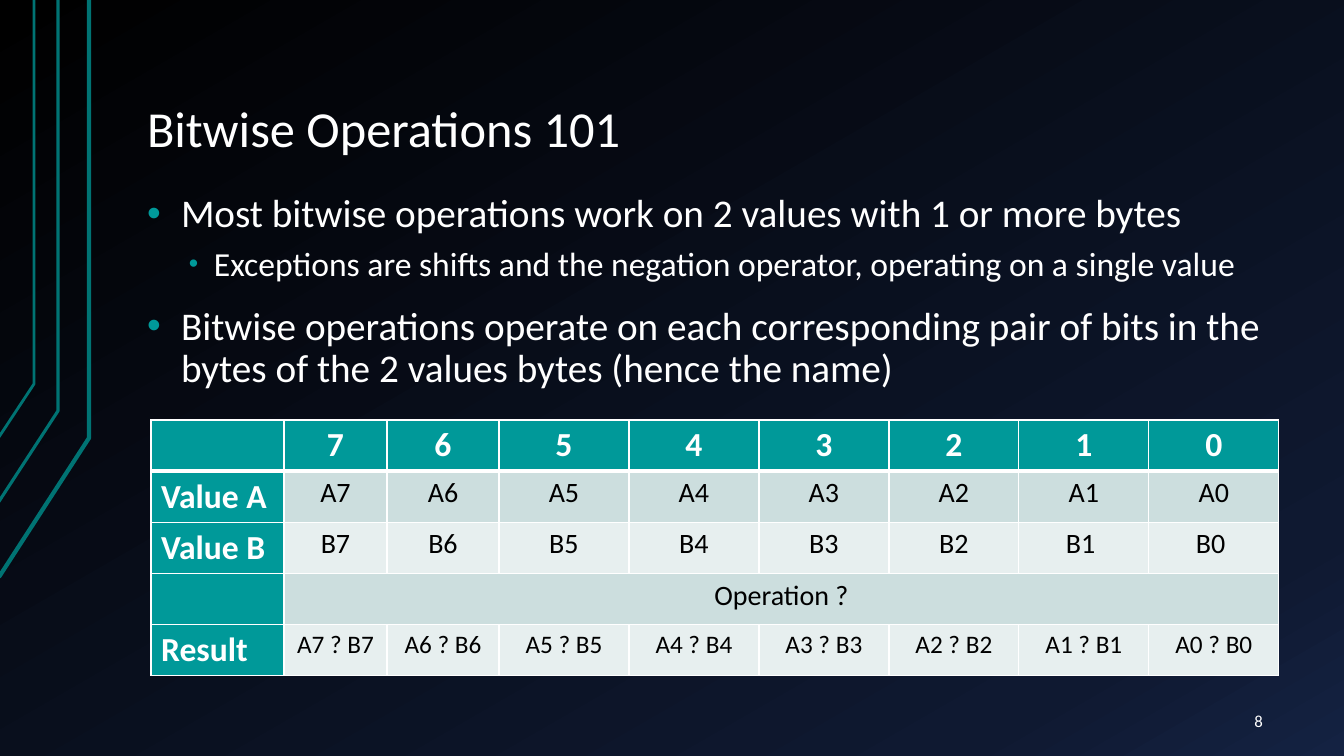
from pptx import Presentation
from pptx.dml.color import RGBColor
from pptx.enum.text import MSO_ANCHOR, MSO_AUTO_SIZE, PP_ALIGN
from pptx.oxml import parse_xml
from pptx.oxml.ns import nsdecls
from pptx.util import Pt

PIXEL = 9071  # EMU per pixel at 100.8 pixels to the inch
LEFT, CENTER, RIGHT = PP_ALIGN.LEFT, PP_ALIGN.CENTER, PP_ALIGN.RIGHT
TOP, MIDDLE, BOTTOM = MSO_ANCHOR.TOP, MSO_ANCHOR.MIDDLE, MSO_ANCHOR.BOTTOM
NO_AUTOFIT = MSO_AUTO_SIZE.NONE

WHITE = RGBColor(0xFF, 0xFF, 0xFF)
BLACK = RGBColor(0x00, 0x00, 0x00)
TEAL = RGBColor(0x00, 0x99, 0x99)
DARK_TEAL = RGBColor(0x00, 0x73, 0x73)
BAND_DARK = RGBColor(0xCC, 0xDE, 0xDE)
BAND_LIGHT = RGBColor(0xE7, 0xEF, 0xEF)
BACKDROP = [(0, BLACK), (85, RGBColor(0x0F, 0x19, 0x31)),
            (100, RGBColor(0x14, 0x22, 0x42))]


def write(para, text, size, color=WHITE, bold=False, align=LEFT):
    """Put one formatted run of text into a paragraph."""
    para.alignment = align
    span = para.add_run()
    span.text = text
    span.font.color.rgb = color
    for name, value in {"name": "Calibri", "size": Pt(size), "bold": bold}.items():
        setattr(span.font, name, value)


def place(box, left, top, width, height, anchor):
    """Move a text shape, set its insets and anchor, and return its frame."""
    sides = {"left": left, "top": top, "width": width, "height": height}
    for name, value in sides.items():
        setattr(box, name, value * PIXEL)
    frame = box.text_frame
    settings = {"margin_left": 13 * PIXEL, "margin_right": 13 * PIXEL,
                "margin_top": 7 * PIXEL, "margin_bottom": 7 * PIXEL,
                "word_wrap": True, "auto_size": NO_AUTOFIT,
                "vertical_anchor": anchor}
    for name, value in settings.items():
        setattr(frame, name, value)
    return frame


deck = Presentation()
deck.slide_width, deck.slide_height = 1344 * PIXEL, 756 * PIXEL
slide = deck.slides.add_slide(deck.slide_layouts[1])

# Background gradient
stops = "".join(f'<a:gs pos="{position * 1000}"><a:srgbClr val="{color}"/></a:gs>'
                for position, color in BACKDROP)
slide.element.cSld.insert(0, parse_xml(
    f'<p:bg {nsdecls("p", "a")}><p:bgPr><a:gradFill rotWithShape="1">'
    f'<a:gsLst>{stops}</a:gsLst><a:lin ang="3600000" scaled="0"/></a:gradFill>'
    '<a:effectLst/></p:bgPr></p:bg>'))

# Bent lines at the left edge: start x, start y, bend x, bend y, weight
BENT_LINES = [(-1, 577, 89, 438, 3), (-2, 503, 58, 411, 2.25),
              (-1, 437, 34, 384, 2)]
for start_x, start_y, bend_x, bend_y, weight in BENT_LINES:
    builder = slide.shapes.build_freeform(start_x, start_y, scale=PIXEL)
    builder.add_line_segments([(bend_x, bend_y), (bend_x, 0)], close=False)
    bent_line = builder.convert_to_shape()
    bent_line.shadow.inherit = False
    bent_line.fill.background()
    bent_line.line.color.rgb = DARK_TEAL
    bent_line.line.width = Pt(weight)

# Title
title = place(slide.shapes.title, 134, 30, 1142, 135, BOTTOM).paragraphs[0]
title.line_spacing = 0.9
write(title, "Bitwise Operations 101", 36)

# Bullets: level, text
BULLETS = [
    (0, "Most bitwise operations work on 2 values with 1 or more bytes"),
    (1, "Exceptions are shifts and the negation operator, operating on a single value"),
    (0, "Bitwise operations operate on each corresponding pair of bits in the "
        "bytes of the 2 values bytes (hence the name)"),
]
# Per level: text size, space before, left margin, hanging indent, bullet percent
LEVELS = [(28, 16, 34, 34, 100), (24, 8, 67, 25, 80)]
body = place(slide.placeholders[1], 134, 187, 1142, 492, TOP)
for index, (level, text) in enumerate(BULLETS):
    size, space, margin, hanging, percent = LEVELS[level]
    para = body.add_paragraph() if index else body.paragraphs[0]
    settings = {"level": level, "line_spacing": 0.9,
                "space_before": Pt(space), "space_after": Pt(0)}
    for name, value in settings.items():
        setattr(para, name, value)
    write(para, text, size)
    properties = para._p.get_or_add_pPr()
    properties.set("marL", str(margin * PIXEL))
    properties.set("indent", str(-hanging * PIXEL))
    for tag in (f'<a:buClr {nsdecls("a")}><a:srgbClr val="{TEAL}"/></a:buClr>',
                f'<a:buSzPct {nsdecls("a")} val="{percent * 1000}"/>',
                f'<a:buFont {nsdecls("a")} typeface="Arial"/>',
                f'<a:buChar {nsdecls("a")} char="\u2022"/>'):
        properties.append(parse_xml(tag))

# Slide number
number = place(slide.shapes.add_textbox(0, 0, 0, 0), 1164, 701, 112, 40, MIDDLE)
write(number.paragraphs[0], "8", 12, align=RIGHT)

# Table of bits
BITS = range(7, -1, -1)
ROWS = [
    ["", *(str(bit) for bit in BITS)],
    ["Value A", *(f"A{bit}" for bit in BITS)],
    ["Value B", *(f"B{bit} " if bit < 2 else f"B{bit}" for bit in BITS)],
    ["", "Operation ?"] + [""] * 7,
    ["Result", *(f"A{bit} ? B{bit}" for bit in BITS)],
]
COLUMN_WIDTHS = [133, 103, 112] + [130] * 6
ROW_HEIGHT = 51
ROW_SIZES = [24, 20, 20, 20, 18]
table = slide.shapes.add_table(
    len(ROWS), len(COLUMN_WIDTHS), 151 * PIXEL, 420 * PIXEL,
    sum(COLUMN_WIDTHS) * PIXEL, ROW_HEIGHT * len(ROWS) * PIXEL).table
table.first_row = table.horz_banding = False
for column, width in zip(table.columns, COLUMN_WIDTHS):
    column.width = width * PIXEL
table.cell(3, 1).merge(table.cell(3, 8))

for row, texts in enumerate(ROWS):
    table.rows[row].height = ROW_HEIGHT * PIXEL
    for column, text in enumerate(texts):
        cell = table.cell(row, column)
        heading = row == 0 or column == 0
        band = BAND_DARK if row % 2 else BAND_LIGHT
        cell.fill.solid()
        cell.fill.fore_color.rgb = TEAL if heading else band
        if text:
            write(cell.text_frame.paragraphs[0], text,
                  24 if heading else ROW_SIZES[row],
                  WHITE if heading else BLACK, heading,
                  CENTER if column else LEFT)
        weights = {"L": 1, "R": 1, "T": 3 if row == 1 else 1,
                   "B": 3 if row == 0 else 1}
        for order, (side, weight) in enumerate(weights.items()):
            cell._tc.get_or_add_tcPr().insert(order, parse_xml(
                f'<a:ln{side} {nsdecls("a")} w="{Pt(weight)}"><a:solidFill>'
                f'<a:srgbClr val="{WHITE}"/></a:solidFill></a:ln{side}>'))

deck.save("out.pptx")
